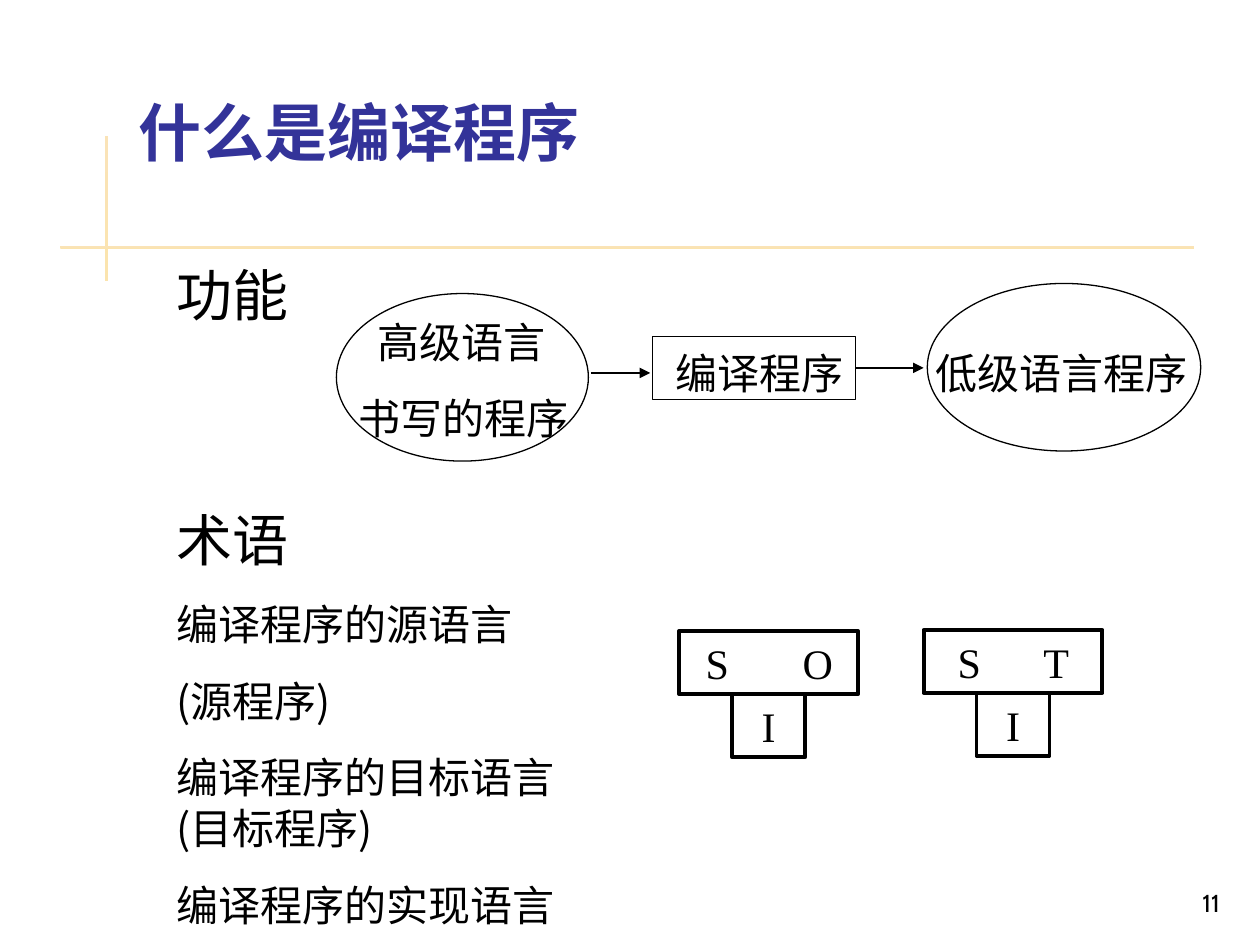
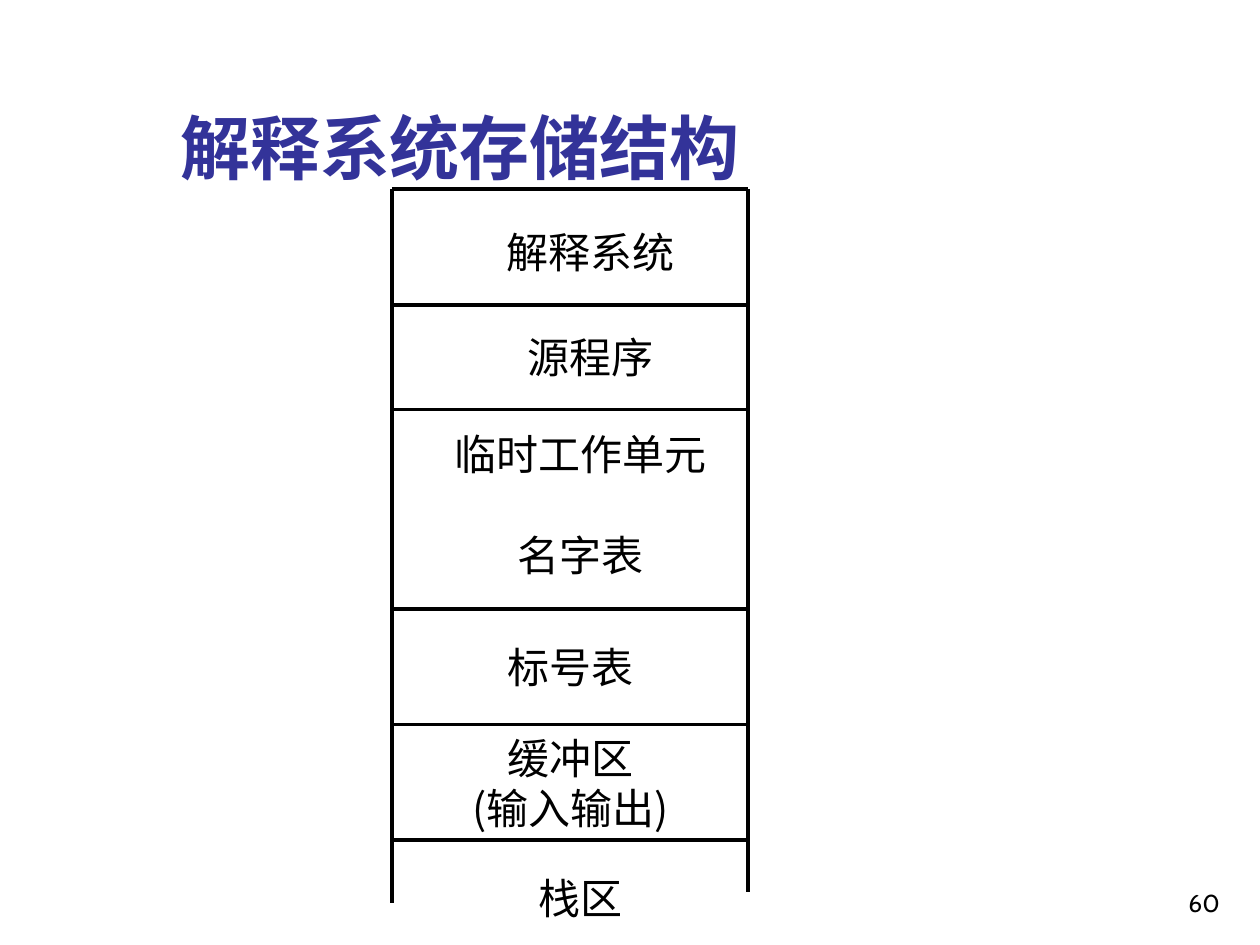
"""Build two lecture slides on compilers and interpreter storage."""
from dataclasses import dataclass

from lxml import etree
from pptx import Presentation
from pptx import util as u
from pptx.dml.color import RGBColor
from pptx.enum import shapes, text
from pptx.oxml import ns

LEFT, CENTER, RIGHT = text.PP_ALIGN.LEFT, text.PP_ALIGN.CENTER, text.PP_ALIGN.RIGHT
TOP, MIDDLE, BOTTOM = text.MSO_ANCHOR.TOP, text.MSO_ANCHOR.MIDDLE, text.MSO_ANCHOR.BOTTOM
RECT, OVAL = shapes.MSO_SHAPE.RECTANGLE, shapes.MSO_SHAPE.OVAL


@dataclass(frozen=True)
class Theme:
    """Colours, fonts, type sizes and line widths."""
    ink: str = "000000"
    paper: str = "FFFFFF"
    title: str = "333399"
    bands: tuple = ("FBE4AE", "FAE3B7")
    cjk: str = "Noto Sans CJK JP"
    serif: str = "Times New Roman"
    number_font: str = "Cabin"
    heading: int = 32
    label: int = 24
    number: int = 14
    thin: float = 0.75
    thick: float = 2.25
    leading: float = 1.2
    drop: float = 0.12


class Deck:
    """Style plus the slide being drawn."""

    def __init__(self, prs, theme):
        self.prs, self.theme, self.s = prs, theme, None

    def new_slide(self, layout, title, at, size):
        """Start a slide and fill its title."""
        self.s = self.prs.slides.add_slide(self.prs.slide_layouts[layout])
        sp = self.place(self.s.shapes.title, at)
        self.set_text(sp, [title], size, color=self.theme.title, bold=True, anchor=BOTTOM)

    def place(self, sp, at):
        """Move a placeholder."""
        sp.left, sp.top, sp.width, sp.height = map(u.Inches, at)
        return sp

    def set_text(self, sp, lines, size=None, font=None, color=None, bold=False, align=LEFT,
                 anchor=TOP, wrap=True, before=0, leading=None, left=0.1, right=0.1):
        """Set one paragraph per line; a line may be a (text, size) pair."""
        t = self.theme
        size, font = size or t.label, font or t.cjk
        cjk = font == t.cjk
        drop = t.drop * size / 72 if cjk else 0
        tf = sp.text_frame
        tf.word_wrap, tf.auto_size = wrap, text.MSO_AUTO_SIZE.NONE
        tf.vertical_anchor = anchor
        tf.margin_left, tf.margin_right = u.Inches(left), u.Inches(right)
        tf.margin_top = u.Inches(0.05 + drop)
        tf.margin_bottom = u.Inches(max(0, 0.05 - drop))
        for i, line in enumerate(lines):
            words, pt = line if isinstance(line, tuple) else (line, size)
            p = tf.paragraphs[0] if i == 0 else tf.add_paragraph()
            p.alignment = align
            p.space_before = u.Pt(before if i else 0)
            if cjk:
                p.line_spacing = u.Pt(round(pt * (leading or t.leading), 1))
            r = p.add_run()
            r.text = words
            r.font.size, r.font.bold, r.font.name = u.Pt(pt), bold, font
            r.font.color.rgb = RGBColor.from_string(color or t.ink)
            etree.SubElement(r._r.get_or_add_rPr(), ns.qn("a:ea"), typeface=font)
        return tf

    def indent(self, p, inches):
        """Set a paragraph's left indent and turn its bullet off."""
        pPr = p._p.get_or_add_pPr()
        pPr.set("marL", str(u.Inches(inches)))
        pPr.set("indent", "0")
        etree.SubElement(pPr, ns.qn("a:buNone"))

    def tab_stop(self, p, inches):
        """Add a left tab stop."""
        tabs = etree.SubElement(p._p.get_or_add_pPr(), ns.qn("a:tabLst"))
        etree.SubElement(tabs, ns.qn("a:tab"), pos=str(u.Inches(inches)), algn="l")

    def body(self, words, at):
        """Fill the body placeholder with one plain heading."""
        sp = self.place(self.s.placeholders[1], at)
        tf = self.set_text(sp, [words], self.theme.heading, leading=1.08)
        self.indent(tf.paragraphs[0], 0)

    def text_box(self, lines, at, **style):
        """Add a text box."""
        return self.set_text(self.s.shapes.add_textbox(*map(u.Inches, at)), lines, **style)

    def shape(self, kind, at, fill=None, line=None, width=None):
        """Add a preset shape without shadow."""
        sp = self.s.shapes.add_shape(kind, *map(u.Inches, at))
        sp.shadow.inherit = False
        if fill:
            sp.fill.solid()
            sp.fill.fore_color.rgb = RGBColor.from_string(fill)
        else:
            sp.fill.background()
        if line:
            sp.line.color.rgb = RGBColor.from_string(line)
            sp.line.width = u.Pt(width)
        else:
            sp.line.fill.background()
        return sp

    def band(self, at):
        """Add a gradient band."""
        sp = self.shape(RECT, at)
        sp.fill.gradient()
        sp.fill.gradient_angle = 90
        for stop, color in zip(sp.fill.gradient_stops, self.theme.bands):
            stop.color.rgb = RGBColor.from_string(color)

    def line(self, x1, y1, x2, y2, width, arrow=False):
        """Add a straight line, with an arrowhead if asked."""
        c = self.s.shapes.add_connector(
            shapes.MSO_CONNECTOR.STRAIGHT, *map(u.Inches, (x1, y1, x2, y2)))
        c.line.color.rgb = RGBColor.from_string(self.theme.ink)
        c.line.width = u.Pt(width)
        spPr = c._element.spPr
        if arrow:
            etree.SubElement(spPr.find(ns.qn("a:ln")), ns.qn("a:tailEnd"), type="triangle")
        etree.SubElement(spPr, ns.qn("a:effectLst"))
        return c

    def t_diagram(self, x, y, source, target, left, gap):
        """Draw a T diagram: source and target above, I below."""
        t = self.theme
        box = dict(fill=t.paper, line=t.ink, width=t.thick)
        top = self.shape(RECT, (x, y, 1.42, 0.5), **box)
        tf = self.set_text(top, [f"{source}\t{target}"], font=t.serif, anchor=MIDDLE, left=left)
        self.tab_stop(tf.paragraphs[0], gap)
        stem = self.shape(RECT, (x + 0.42, y + 0.5, 0.58, 0.5), **box)
        self.set_text(stem, ["I"], font=t.serif, align=CENTER, anchor=MIDDLE, wrap=False)

    def page_number(self, number):
        """Add the page number."""
        t = self.theme
        self.text_box([number], (7.7, 6.83, 2.08, 0.5), size=t.number,
                      font=t.number_font, align=RIGHT, anchor=BOTTOM)


def compiler_slide(d):
    """Draw what a compiler does and its terms."""
    t = d.theme
    d.new_slide(1, "什么是编译程序", (1, 0.17, 8.5, 1.17), 36)
    d.band((0.83, 1.08, 0.03, 1.15))
    d.band((0.48, 1.95, 9, 0.03))
    d.body("功能", (1.3, 2.02, 8.19, 0.58))
    d.text_box([("术语", t.heading), "编译程序的源语言", "(源程序)",
                "编译程序的目标语言(目标程序)", "编译程序的实现语言"],
               (1.3, 3.92, 3.62, 3.47), before=15)
    tf = d.text_box(["高级语言", "书写的程序"], (2.75, 2.42, 2.08, 1.11), before=15)
    d.indent(tf.paragraphs[0], 0.15)
    compiler = d.shape(RECT, (5.18, 2.67, 1.61, 0.5), line=t.ink, width=t.thin)
    d.set_text(compiler, ["编译程序"], left=0.18, right=0)
    d.text_box(["低级语言程序"], (7.33, 2.67, 2.25, 0.5))
    d.line(4.69, 2.96, 5.16, 2.96, t.thin, arrow=True)
    d.line(6.79, 2.92, 7.33, 2.92, t.thin, arrow=True).begin_connect(compiler, 3)
    for at in ((2.67, 2.33, 2, 1.33), (7.36, 2.25, 2.17, 1.33)):
        d.shape(OVAL, at, line=t.ink, width=t.thin)
    d.t_diagram(5.39, 5.01, "S", "O", 0.21, 0.77)
    d.t_diagram(7.33, 5, "S", "T", 0.27, 0.68)
    d.page_number("11")


def storage_slide(d):
    """Draw the storage layout of an interpreter."""
    t = d.theme
    d.new_slide(5, "解释系统存储结构", (1.33, 0.25, 8.17, 1.25), 40)
    left, right, top = 3.11, 5.94, 1.5
    for x, bottom in ((left, 7.17), (right, 7.08)):
        d.line(x, top, x, bottom, t.thick)
    for y in (top, 2.42, 3.25, 4.83, 5.75, 6.67):
        d.line(left, y, right, y, t.thick)
    areas = [
        (4.19, 1.75, 0.42, ["解释系统"], 0),
        (4.19, 2.58, 0.42, ["源程序"], 0),
        (4.11, 3.42, 1.08, ["临时工作单元", "名字表"], t.label * t.leading),
        (4.03, 5, 0.5, ["标号表"], 0),
        (4.03, 5.92, 0.5, ["缓冲区", "(输入输出)"], 0),
        (4.11, 6.92, 0.33, ["栈区"], 0),
    ]
    for x, y, height, lines, before in areas:
        sp = d.shape(RECT, (x, y, 1, height), t.paper, t.paper, t.thick)
        d.set_text(sp, lines, align=CENTER, anchor=MIDDLE, wrap=False, before=before)
    d.page_number("60")


def main():
    """Build and save the deck."""
    prs = Presentation()
    prs.slide_width, prs.slide_height = u.Inches(10), u.Inches(7.5)
    d = Deck(prs, Theme())
    compiler_slide(d)
    storage_slide(d)
    prs.save("out.pptx")


if __name__ == "__main__":
    main()
